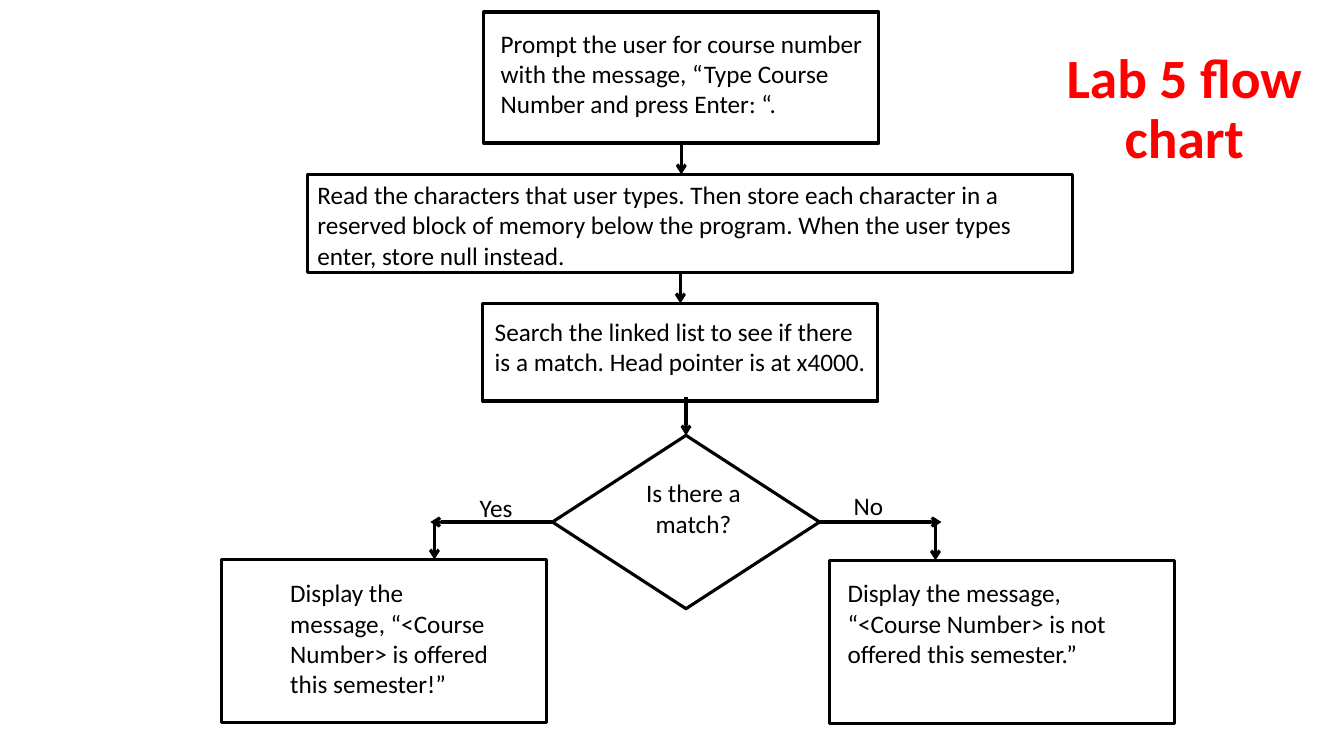
from lxml import etree
from pptx import Presentation
from pptx.dml.color import RGBColor
from pptx.enum import shapes, text
from pptx.oxml import ns
from pptx.util import Pt

COLORS = {"ink": "000000", "paper": "FFFFFF", "title": "FF0000"}
LINE_WIDTH = 2.25
RECTANGLE = shapes.MSO_SHAPE.RECTANGLE
DIAMOND = shapes.MSO_SHAPE.DIAMOND
TOP, LEFT, BOTTOM, RIGHT = range(4)

# name: (preset, left, top, width, height)
STEPS = {
    "prompt": (RECTANGLE, 345.6, 8.6, 282.2, 93.6),
    "read": (RECTANGLE, 219.6, 124.6, 546.5, 69.8),
    "search": (RECTANGLE, 344.9, 216.7, 282.2, 69.8),
    "match": (DIAMOND, 394.6, 311, 190.8, 123.8),
    "offered": (RECTANGLE, 158.4, 399.6, 231.8, 116.6),
    "not offered": (RECTANGLE, 592.6, 400.3, 246.2, 116.6),
}

# (words, left, top, width, height, alignment)
LABELS = [
    ("Prompt the user for course number with the message, “Type Course Number and press Enter: “.",
     350.6, 16.6, 276.5, 72.7, text.PP_ALIGN.LEFT),
    ("Read the characters that user types. Then store each character in a reserved block of memory "
     "below the program. When the user types enter, store null instead.",
     219.6, 124.6, 532.1, 72.7, text.PP_ALIGN.LEFT),
    ("Search the linked list to see if there is a match. Head pointer is at x4000.",
     346.3, 222.5, 282.2, 51.1, text.PP_ALIGN.LEFT),
    ("Is there a match?", 443.5, 337.7, 103.7, 51.1, text.PP_ALIGN.CENTER),
    ("Yes", 335.5, 347.8, 56.9, 29.1, text.PP_ALIGN.LEFT),
    ("No", 602.6, 347, 56.9, 29.1, text.PP_ALIGN.LEFT),
    ("Display the message, “<Course Number> is offered this semester!”",
     200.2, 409, 164.2, 94.3, text.PP_ALIGN.LEFT),
    ("Display the message, “<Course Number> is not offered this semester.”",
     598.3, 409, 203, 72.7, text.PP_ALIGN.LEFT),
]

# (x1, y1, x2, y2, joined start, joined end); a join is (step, side)
ARROWS = [
    (486.7, 102.2, 486.7, 124.6, ("prompt", BOTTOM), None),
    (486, 193.7, 486, 216.7, None, ("search", TOP)),
    (490, 283.7, 490, 311, None, ("match", TOP)),
    (394.6, 372.9, 307.4, 372.9, ("match", LEFT), None),
    (585.4, 372.9, 672.5, 372.9, ("match", RIGHT), None),
    (310.3, 372.9, 310.3, 399.6, None, None),
    (668.2, 372.9, 668.2, 400.3, None, None),
]


def color(name):
    return RGBColor.from_string(COLORS[name])


def set_all(target, values):
    for name, value in values.items():
        setattr(target, name, value)


def style_font(font, size, color_name, bold=False):
    set_all(font, {"name": "Calibri", "size": Pt(size), "bold": bold})
    font.color.rgb = color(color_name)


def style_line(line):
    line.color.rgb = color("ink")
    line.width = Pt(LINE_WIDTH)


def add_title(slide, words):
    title = slide.shapes.title
    set_all(title, {"left": Pt(746.6), "top": Pt(49.7), "width": Pt(198.7), "height": Pt(58.3)})
    frame = title.text_frame
    frame.text = words
    set_all(frame, {"vertical_anchor": text.MSO_ANCHOR.MIDDLE, "word_wrap": True,
                    "auto_size": text.MSO_AUTO_SIZE.NONE})
    paragraph = frame.paragraphs[0]
    set_all(paragraph, {"alignment": text.PP_ALIGN.CENTER, "line_spacing": 0.9})
    style_font(paragraph.runs[0].font, 39.6, "title", True)


def add_step(slide, preset, *box):
    shape = slide.shapes.add_shape(preset, *map(Pt, box))
    shape.shadow.inherit = False
    shape.fill.solid()
    shape.fill.fore_color.rgb = color("paper")
    style_line(shape.line)
    return shape


def add_label(slide, words, left, top, width, height, alignment):
    frame = slide.shapes.add_textbox(Pt(left), Pt(top), Pt(width), Pt(height)).text_frame
    frame.text = words
    set_all(frame, {"word_wrap": True, "auto_size": text.MSO_AUTO_SIZE.SHAPE_TO_FIT_TEXT})
    paragraph = frame.paragraphs[0]
    paragraph.alignment = alignment
    style_font(paragraph.runs[0].font, 18, "ink")


def add_arrow(slide, steps, x1, y1, x2, y2, start, end):
    arrow = slide.shapes.add_connector(shapes.MSO_CONNECTOR.STRAIGHT, Pt(x1), Pt(y1), Pt(x2), Pt(y2))
    for connect, join in ((arrow.begin_connect, start), (arrow.end_connect, end)):
        if join:
            name, side = join
            connect(steps[name], side)
    style_line(arrow.line)
    properties = arrow.element.spPr
    etree.SubElement(properties.find(ns.qn("a:ln")), ns.qn("a:tailEnd"), type="arrow")
    etree.SubElement(properties, ns.qn("a:effectLst"))


def main():
    presentation = Presentation()
    presentation.slide_width, presentation.slide_height = Pt(960), Pt(540)
    slide = presentation.slides.add_slide(presentation.slide_layouts[5])
    add_title(slide, "Lab 5 flow chart")
    steps = {name: add_step(slide, *step) for name, step in STEPS.items()}
    for label in LABELS:
        add_label(slide, *label)
    for arrow in ARROWS:
        add_arrow(slide, steps, *arrow)
    presentation.save("out.pptx")


if __name__ == "__main__":
    main()
